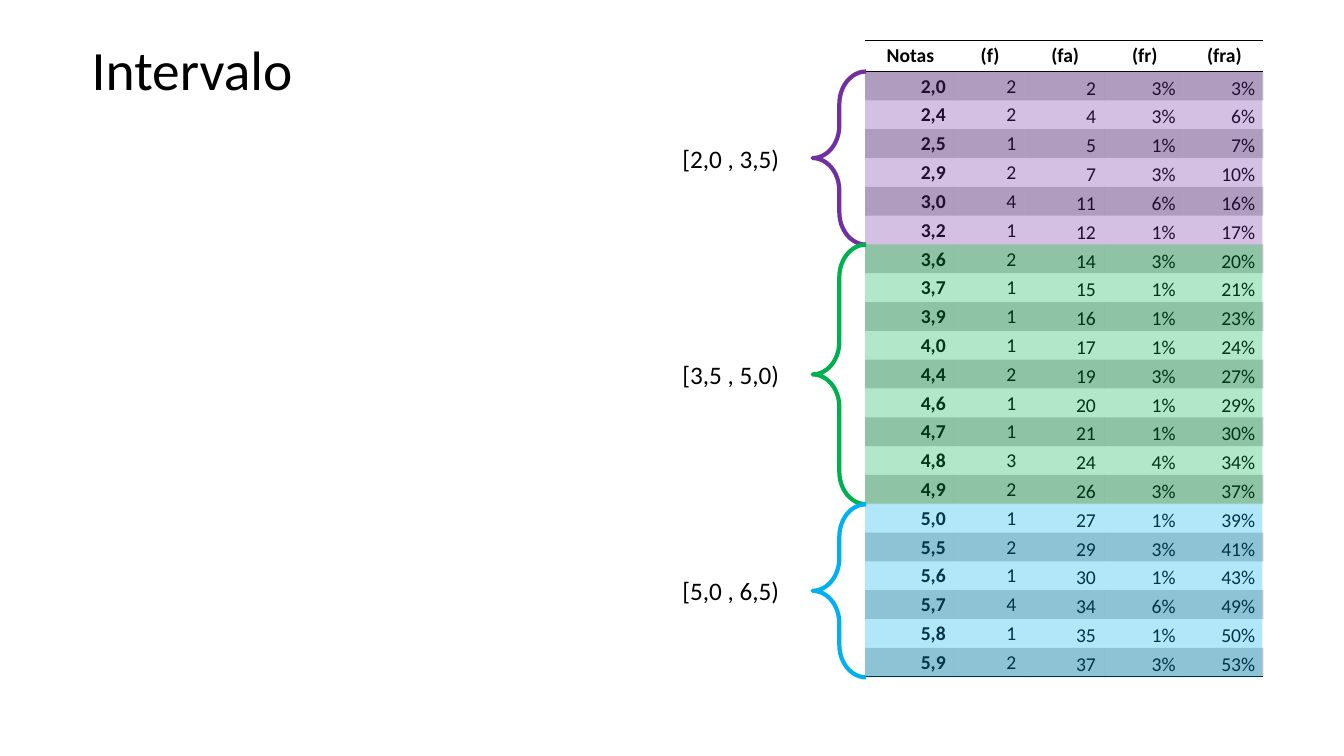
from itertools import accumulate

from lxml import etree
from pptx import Presentation
from pptx.dml.color import RGBColor
from pptx.enum import shapes, text
from pptx.oxml import ns
from pptx.util import Inches, Pt

BLACK = RGBColor(0x00, 0x00, 0x00)
PURPLE = RGBColor(0x70, 0x30, 0xA0)
GREEN = RGBColor(0x00, 0xB0, 0x50)
BLUE = RGBColor(0x00, 0xB0, 0xF0)
FONT = "Calibri"
PLAIN_TABLE = "{2D5ABB26-0587-4C30-8999-92F81FD0307C}"

HEADERS = ["Notas", "(f)", "(fa)", "(fr)", "(fra)"]
GRADES = ("2,0 2,4 2,5 2,9 3,0 3,2 3,6 3,7 3,9 4,0 4,4 4,6 4,7 4,8 4,9 "
          "5,0 5,5 5,6 5,7 5,8 5,9").split()
COUNTS = [2, 2, 1, 2, 4, 1, 2, 1, 1, 1, 2, 1, 1, 3, 2, 1, 2, 1, 4, 1, 2]
STUDENTS = 70  # the relative frequencies refer to the whole class
# Label, number of grades and colour of each interval
INTERVALS = [("[2,0 , 3,5) ", 6, PURPLE), ("[3,5 , 5,0) ", 9, GREEN),
             ("[5,0 , 6,5) ", 6, BLUE)]

TABLE_BOX = (8.58, 0.4, 3.94, 6.32)
COLUMN_WIDTHS = [0.88, 0.7, 0.79, 0.79, 0.79]
HEADER_HEIGHT = 0.31
ROW_HEIGHT = (TABLE_BOX[3] - HEADER_HEIGHT) / len(GRADES)
BRACE_WIDTH = 0.53


def write(frame, words, size, bold=False, align=text.PP_ALIGN.LEFT,
          anchor=text.MSO_ANCHOR.MIDDLE, spacing=None):
    frame.vertical_anchor = anchor
    para = frame.paragraphs[0]
    para.alignment = align
    para.line_spacing = spacing
    span = para.add_run()
    span.text = words
    span.font.name, span.font.size, span.font.bold = FONT, Pt(size), bold
    span.font.color.rgb = BLACK


def fill_clear(fill, colour, percent):
    """Fill with a colour of the given opacity."""
    fill.solid()
    fill.fore_color.rgb = colour
    for tint in fill._xPr.iter(ns.qn("a:srgbClr")):
        etree.SubElement(tint, ns.qn("a:alpha"), val=str(percent * 1000))


def add_border(cell, side):
    line = etree.SubElement(cell._tc.get_or_add_tcPr(), ns.qn("a:" + side), w=str(Pt(1)))
    solid = etree.SubElement(line, ns.qn("a:solidFill"))
    etree.SubElement(solid, ns.qn("a:srgbClr"), val=str(BLACK))


def add_title(page, box):
    title = page.shapes.title
    title.left, title.top, title.width, title.height = map(Inches, box)
    title.text_frame.auto_size = text.MSO_AUTO_SIZE.NONE
    write(title.text_frame, "Intervalo", 39.6, spacing=0.9)


def frequency_rows():
    rows = [HEADERS]
    for grade, count, total in zip(GRADES, COUNTS, accumulate(COUNTS)):
        rows.append([grade, str(count), str(total),
                     f"{count / STUDENTS:.0%}", f"{total / STUDENTS:.0%}"])
    return rows


def format_cell(cell, words, row, column):
    header, last = row == 0, row == len(GRADES)
    margins = (0.1, 0.02, 0.08, 0.02) if header else (0.01, 0.01, 0.08, 0)
    (cell.margin_left, cell.margin_top,
     cell.margin_right, cell.margin_bottom) = map(Inches, margins)
    write(cell.text_frame, words, 14, bold=header or column == 0,
          align=text.PP_ALIGN.CENTER if header else text.PP_ALIGN.RIGHT)
    low = not header and column > 1
    cell.vertical_anchor = text.MSO_ANCHOR.BOTTOM if low else text.MSO_ANCHOR.MIDDLE
    if header:
        add_border(cell, "lnT")
    if header or last:
        add_border(cell, "lnB")
    if row % 2:
        fill_clear(cell.fill, BLACK, 20)
    else:
        cell.fill.background()


def add_frequencies(page, box):
    rows = frequency_rows()
    table = page.shapes.add_table(len(rows), len(HEADERS), *map(Inches, box)).table
    table.horz_banding = False
    table._tbl.tblPr.find(ns.qn("a:tableStyleId")).text = PLAIN_TABLE
    for column, width in zip(table.columns, COLUMN_WIDTHS):
        column.width = Inches(width)
    for row, words in enumerate(rows):
        table.rows[row].height = Inches(ROW_HEIGHT if row else HEADER_HEIGHT)
        for column, value in enumerate(words):
            format_cell(table.cell(row, column), value, row, column)


def add_band(page, box, colour):
    band = page.shapes.add_shape(shapes.MSO_SHAPE.RECTANGLE, *map(Inches, box))
    band.shadow.inherit = False
    fill_clear(band.fill, colour, 30)
    band.line.fill.background()


def add_brace(page, box, colour):
    brace = page.shapes.add_shape(shapes.MSO_SHAPE.LEFT_BRACE, *map(Inches, box))
    brace.shadow.inherit = False
    brace.adjustments[0], brace.adjustments[1] = 0.61, 0.5
    brace.fill.background()
    brace.line.color.rgb, brace.line.width = colour, Pt(3)


def add_label(page, box, words):
    label = page.shapes.add_textbox(*map(Inches, box))
    label.text_frame.word_wrap = False
    label.text_frame.auto_size = text.MSO_AUTO_SIZE.SHAPE_TO_FIT_TEXT
    write(label.text_frame, words, 18, anchor=text.MSO_ANCHOR.TOP)


def add_intervals(page, box):
    """Tint each interval of the table and name it beside a brace."""
    left, top, width, _ = box
    top += HEADER_HEIGHT
    for words, count, colour in INTERVALS:
        height = count * ROW_HEIGHT
        add_band(page, (left, top, width, height), colour)
        add_brace(page, (left - BRACE_WIDTH + 0.01, top, BRACE_WIDTH, height), colour)
        add_label(page, (left - 1.91, top + height / 2 - 0.2, 1.23, 0.4), words)
        top += height


deck = Presentation()
deck.slide_width, deck.slide_height = Inches(13.33), Inches(7.5)
page = deck.slides.add_slide(deck.slide_layouts[5])
add_title(page, (0.81, 0.38, 2.98, 0.67))
add_frequencies(page, TABLE_BOX)
add_intervals(page, TABLE_BOX)
deck.save("out.pptx")
